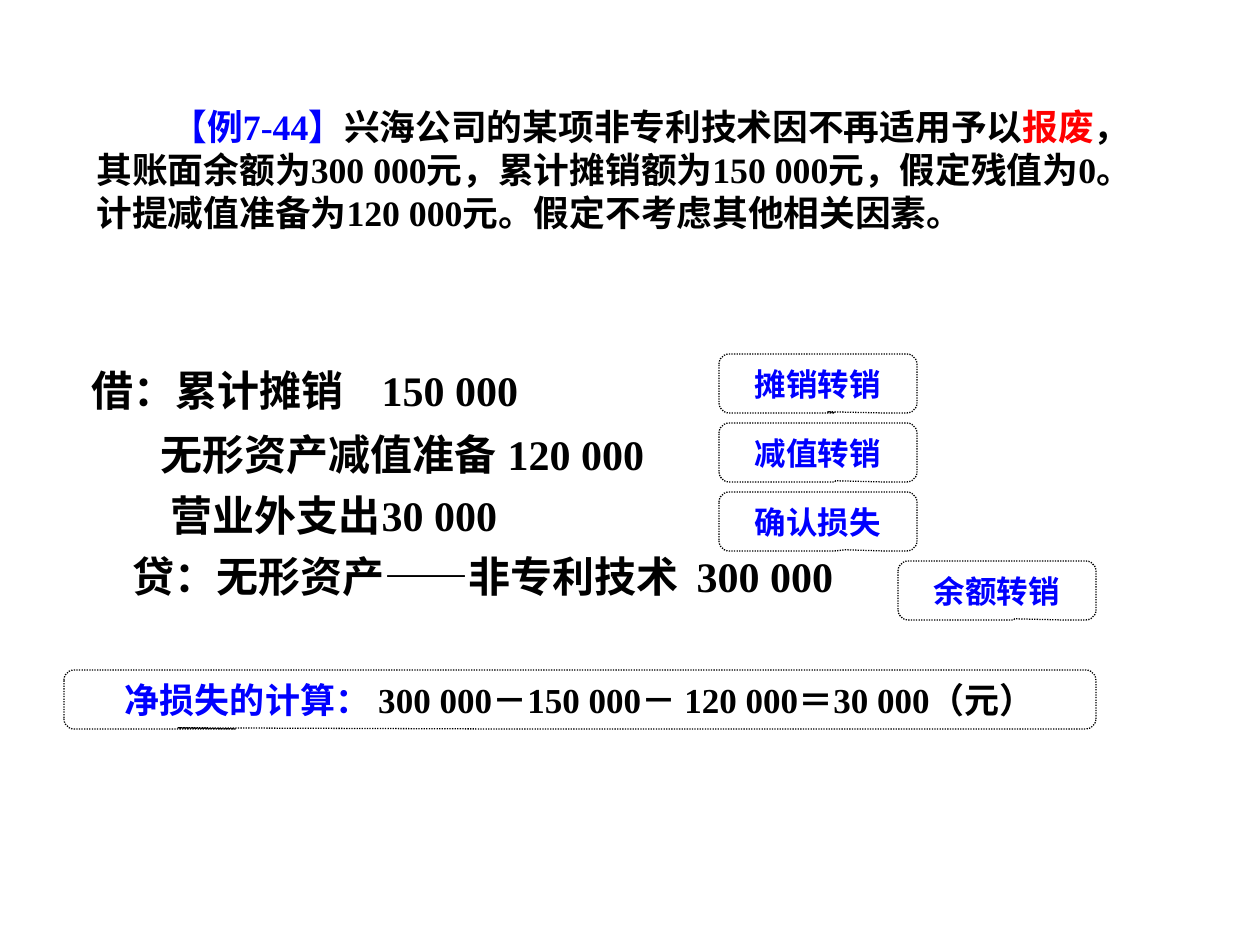
from lxml import etree
from pptx import Presentation
from pptx import util as u
from pptx.dml.color import RGBColor
from pptx.enum import dml, shapes, text
from pptx.oxml.ns import qn

BLACK, BLUE, RED = "000000", "0000FF", "FF0000"
SERIF = "Times New Roman"


def px(n):
    return u.Emu(round(n * 914400 / 126))


def rgb(value):
    return RGBColor.from_string(value)


def add_text(p, words, size, color=BLACK, font=SERIF):
    r = p.add_run()
    r.text = words
    r.font.size, r.font.name, r.font.bold = u.Pt(size), font, True
    r.font.color.rgb = rgb(color)


def format_paragraph(p, indent=0, tab=None, before=0):
    """Set a first-line indent and, if given, one left tab; no bullet."""
    pPr = p._p.get_or_add_pPr()
    pPr.set("marL", "0")
    pPr.set("indent", str(px(indent)))
    etree.SubElement(pPr, qn("a:buNone"))
    if tab is not None:
        tabs = etree.SubElement(pPr, qn("a:tabLst"))
        etree.SubElement(tabs, qn("a:tab"), pos=str(px(tab)), algn="l")
    p.alignment = text.PP_ALIGN.LEFT
    p.space_before = u.Pt(before)


def place(sp, box, top_inset):
    """Move a placeholder to the box and return its text frame."""
    sp.left, sp.top, sp.width, sp.height = map(px, box)
    tf = sp.text_frame
    tf.auto_size = text.MSO_AUTO_SIZE.NONE
    tf.vertical_anchor = text.MSO_ANCHOR.TOP
    tf.word_wrap = True
    tf.margin_top = px(top_inset)
    return tf


def example(s, box):
    p = place(s.shapes.title, box, 19).paragraphs[0]
    format_paragraph(p, indent=75)
    for words, color in (
        ("【例7-44】", BLUE),
        ("兴海公司的某项非专利技术因不再适用予以", BLACK),
        ("报废", RED),
        ("，其账面余额为300 000元，累计摊销额为150 000元，假定残值为0。"
         "计提减值准备为120 000元。假定不考虑其他相关因素。", BLACK),
    ):
        add_text(p, words, 20.4, color)


def journal_entry(s, box):
    tf = place(s.placeholders[1], box, 20)
    rows = (
        (25, 468, 0, ["借：累计摊销"], "150 000"),
        (94, 479, 8, ["无形资产减值准备"], "120 000"),
        (104, 477, 6, ["营业外支出"], "30 000"),
        (66, 660, 6, ["贷：无形资产", "——", "非专利技术"], "300 000"),
    )
    for i, (indent, tab, before, account, amount) in enumerate(rows):
        p = tf.add_paragraph() if i else tf.paragraphs[0]
        format_paragraph(p, indent, tab, before)
        for part in account:
            add_text(p, part, 24, font="Arial" if part == "——" else SERIF)
        add_text(p, "\t" + amount, 24)


def callout(s, box, runs, size, tail):
    sp = s.shapes.add_shape(
        shapes.MSO_SHAPE.ROUNDED_RECTANGULAR_CALLOUT, *map(px, box))
    for i, value in enumerate((tail, 0.48, 0.17)):
        sp.adjustments[i] = value
    sp.shadow.inherit = False
    sp.fill.background()
    sp.line.color.rgb = rgb(BLACK)
    sp.line.width = u.Pt(0.75)
    sp.line.dash_style = dml.MSO_LINE.ROUND_DOT
    tf = sp.text_frame
    tf.word_wrap = True
    tf.vertical_anchor = text.MSO_ANCHOR.MIDDLE
    p = tf.paragraphs[0]
    p.alignment = text.PP_ALIGN.CENTER
    for words, color in runs:
        add_text(p, words, size, color)


def entry_notes(s, left, top):
    pitch = 69
    notes = (("摊销转销", 0, 0.05), ("减值转销", 0, 0.09),
             ("确认损失", 0, 0.14), ("余额转销", 179, 0.09))
    for i, (words, shift, tail) in enumerate(notes):
        box = (left + shift, top + i * pitch, 198, 59)
        callout(s, box, [(words, BLUE)], 18, tail)


def main():
    prs = Presentation()
    prs.slide_width, prs.slide_height = u.Inches(10), u.Inches(7.5)
    s = prs.slides.add_slide(prs.slide_layouts[1])
    example(s, (84, 86, 1081, 208))
    journal_entry(s, (54, 344, 1131, 348))
    entry_notes(s, 719, 354)
    callout(s, (64, 670, 1032, 59),
            [("净损失的计算： ", BLUE),
             ("300 000－150 000－ 120 000＝30 000（元）", BLACK)], 20, -0.39)
    prs.save("out.pptx")


if __name__ == "__main__":
    main()
